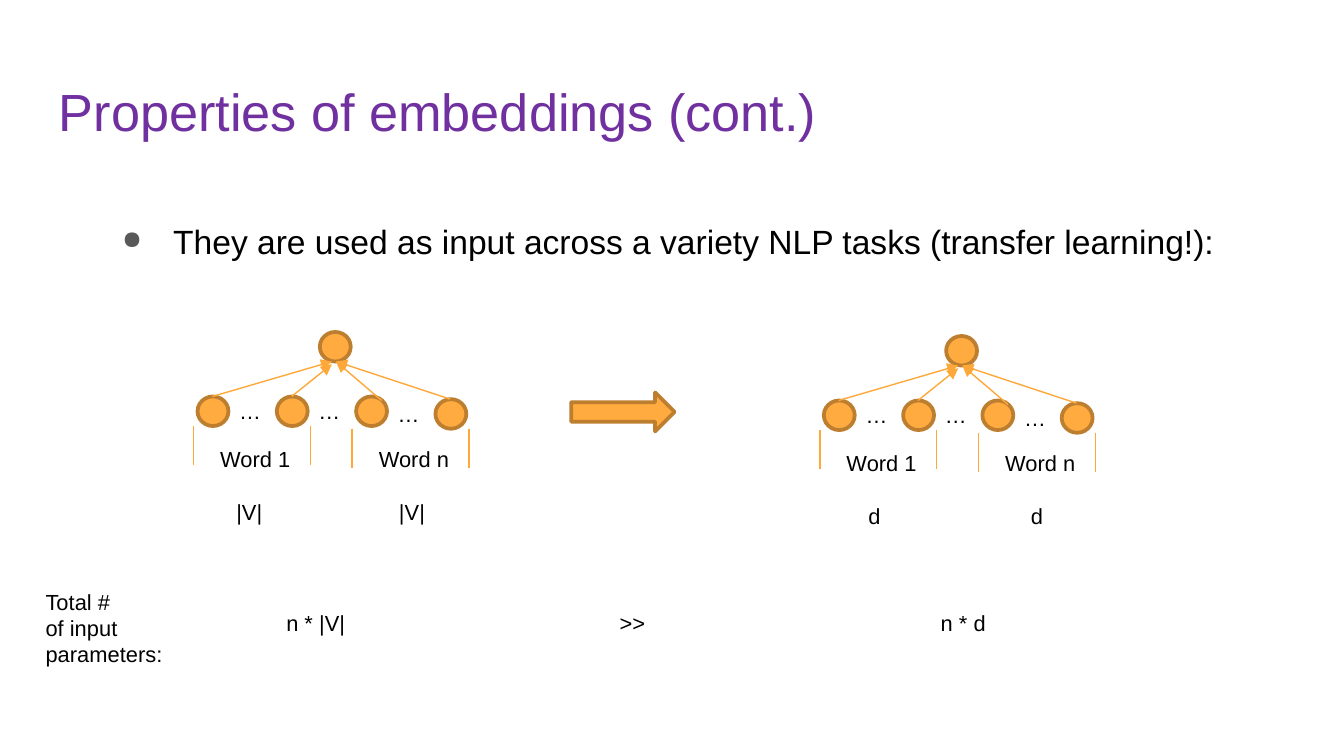
from lxml.etree import SubElement
from pptx import Presentation
from pptx.dml.color import RGBColor
from pptx.enum.shapes import MSO_CONNECTOR, MSO_SHAPE
from pptx.oxml.ns import qn
from pptx.util import Inches, Pt

PURPLE, BLACK, GREY = "7030A0", "000000", "595959"
ORANGE, BROWN, LINE_ORANGE = "FFAB40", "BD7F2F", "FEA83A"

TITLE = "Properties of embeddings (cont.)"
BULLET = "They are used as input across a variety NLP tasks (transfer learning!):"

# Network origin (left, top) and the size label under each word
NETWORKS = [
    {"origin": (1.44, 2.47), "size": "|V|", "inset": 0.1},
    {"origin": (6.1, 2.5), "size": "d", "inset": 0.14},
]
# Text, left, top, width, height, left inset
TOTALS = [
    ("Total #\nof input parameters:", 0.24, 4.33, 1.58, 0.69, 0.1),
    ("n * |V|", 1.99, 4.49, 0.94, 0.3, 0.14),
    (">>", 4.25, 4.49, 0.94, 0.3, 0.36),
    ("n * d", 6.68, 4.49, 0.94, 0.3, 0.32),
]

# Positions inside a network, relative to its origin
NODE_WIDTH, NODE_HEIGHT, NODE_STEP = 0.23, 0.22, 0.59
OUTPUT_NODE = (0.94, 0)
INPUT_NODES = [(0.03 + NODE_STEP * i, top) for i, top in enumerate((0.48, 0.48, 0.48, 0.5))]
EDGES = [
    ((0.14, 0.48), (1.03, 0.22)),
    ((0.73, 0.48), (1.03, 0.24)),
    ((1.4, 0.51), (1.06, 0.22)),
    ((1.91, 0.5), (1.06, 0.22)),
]
ELLIPSES = [(0.34 + NODE_STEP * i, top) for i, top in enumerate((0.44, 0.44, 0.46))]
# Word, left of its bracket, top of its bracket, left of its size label
WORDS = [("Word 1", 0, 0.7, 0.22), ("Word n", 1.18, 0.72, 1.43)]
BRACKET_WIDTH, BRACKET_HEIGHT = 0.87, 0.29


def color(value):
    return RGBColor.from_string(value)


def add_text(shapes, text, left, top, width, height, size=11.7, fill=BLACK,
             inset=0.1, vertical_inset=0.05, wrap=True, bullet=None, spacing=None):
    box = shapes.add_textbox(Inches(left), Inches(top), Inches(width), Inches(height))
    frame = box.text_frame
    frame.word_wrap = wrap
    frame.margin_left, frame.margin_right = Inches(inset), Inches(0.1)
    frame.margin_top = frame.margin_bottom = Inches(vertical_inset)
    frame.text = text
    for paragraph in frame.paragraphs:
        if spacing:
            paragraph.line_spacing = spacing
        if bullet:
            properties = paragraph._p.get_or_add_pPr()
            properties.set("marL", str(Inches(0.5)))
            properties.set("indent", str(Inches(-0.38)))
            bullet_color = SubElement(properties, qn("a:buClr"))
            SubElement(bullet_color, qn("a:srgbClr"), val=GREY)
            SubElement(properties, qn("a:buSzPct"), val="75000")
            SubElement(properties, qn("a:buChar"), char=bullet)
        paragraph.font.size = Pt(size)
        paragraph.font.name = "Arial"
        paragraph.font.color.rgb = color(fill)


def add_orange_shape(shapes, kind, left, top, width, height):
    shape = shapes.add_shape(kind, Inches(left), Inches(top), Inches(width), Inches(height))
    shape.shadow.inherit = False
    shape.fill.solid()
    shape.fill.fore_color.rgb = color(ORANGE)
    shape.line.color.rgb = color(BROWN)
    shape.line.width = Pt(2)


def add_line(shapes, start, end, arrow=False):
    line = shapes.add_connector(MSO_CONNECTOR.STRAIGHT, *map(Inches, start + end))
    line.line.color.rgb = color(LINE_ORANGE)
    line.line.width = Pt(0.75)
    if arrow:
        SubElement(line.line._get_or_add_ln(), qn("a:tailEnd"), type="triangle")
    SubElement(line._element.spPr, qn("a:effectLst"))


def add_network(slide, origin, size, inset):
    shapes = slide.shapes.add_group_shape().shapes

    def place(left, top):
        return origin[0] + left, origin[1] + top

    for node in [OUTPUT_NODE] + INPUT_NODES:
        add_orange_shape(shapes, MSO_SHAPE.OVAL, *place(*node), NODE_WIDTH, NODE_HEIGHT)
    for start, end in EDGES:
        add_line(shapes, place(*start), place(*end), arrow=True)
    for position in ELLIPSES:
        add_text(shapes, "…", *place(*position), 0.07, 0.3)
    for word, left, top, size_left in WORDS:
        for side in (left, left + BRACKET_WIDTH):
            add_line(shapes, place(side, top), place(side, top + BRACKET_HEIGHT))
        add_text(shapes, word, *place(left + 0.1, 0.8), 0.73, 0.3, wrap=False)
        add_text(shapes, size, *place(size_left, 1.19), 0.48, 0.3, inset=inset)


def main():
    presentation = Presentation()
    presentation.slide_width = Inches(10)
    presentation.slide_height = presentation.slide_width * 9 // 16
    slide = presentation.slides.add_slide(presentation.slide_layouts[6])
    add_text(slide.shapes, TITLE, 0.34, 0.49, 9.32, 0.63, size=28, fill=PURPLE,
             vertical_inset=0.1)
    add_text(slide.shapes, BULLET, 0.69, 1.5, 8.62, 0.52, size=18,
             vertical_inset=0.1, bullet="●", spacing=1.15)
    for network in NETWORKS:
        add_network(slide, **network)
    add_orange_shape(slide.shapes, MSO_SHAPE.RIGHT_ARROW, 4.25, 2.92, 0.77, 0.29)
    for text, left, top, width, height, inset in TOTALS:
        add_text(slide.shapes, text, left, top, width, height, inset=inset)
    presentation.save("out.pptx")


if __name__ == "__main__":
    main()
